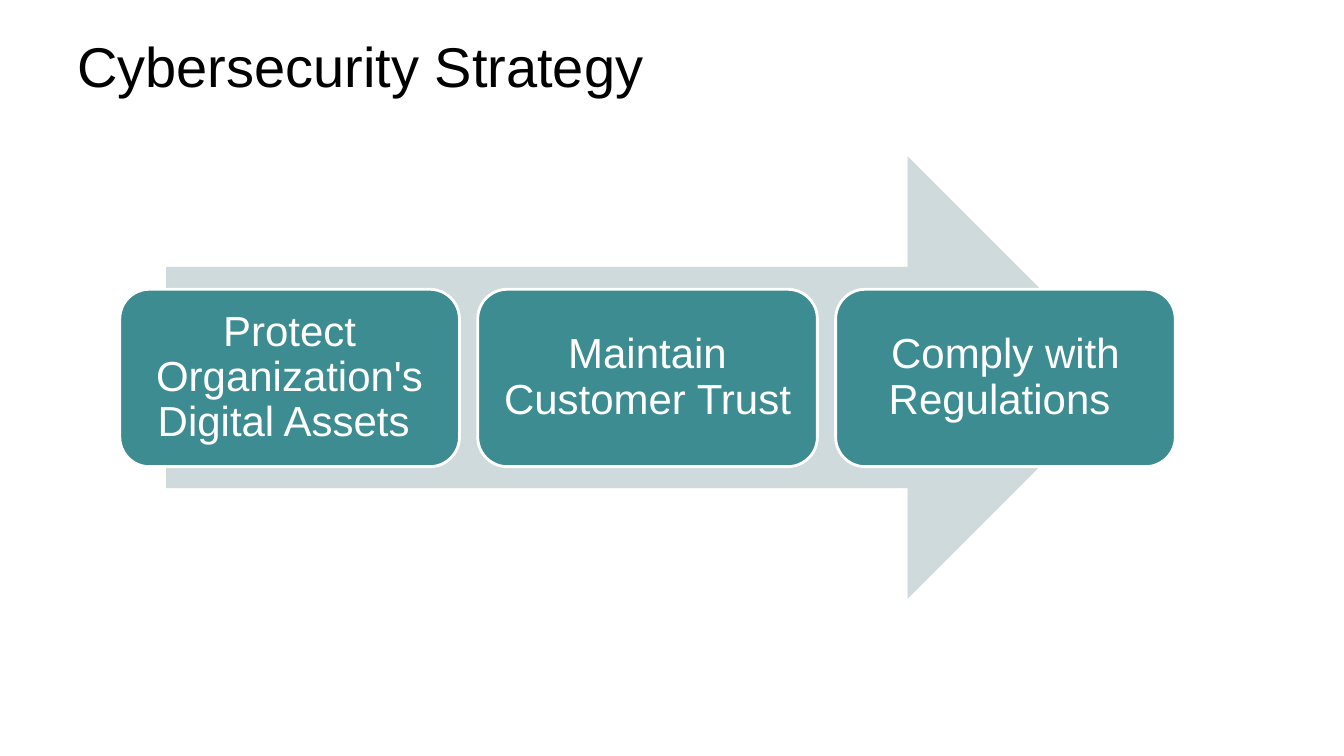
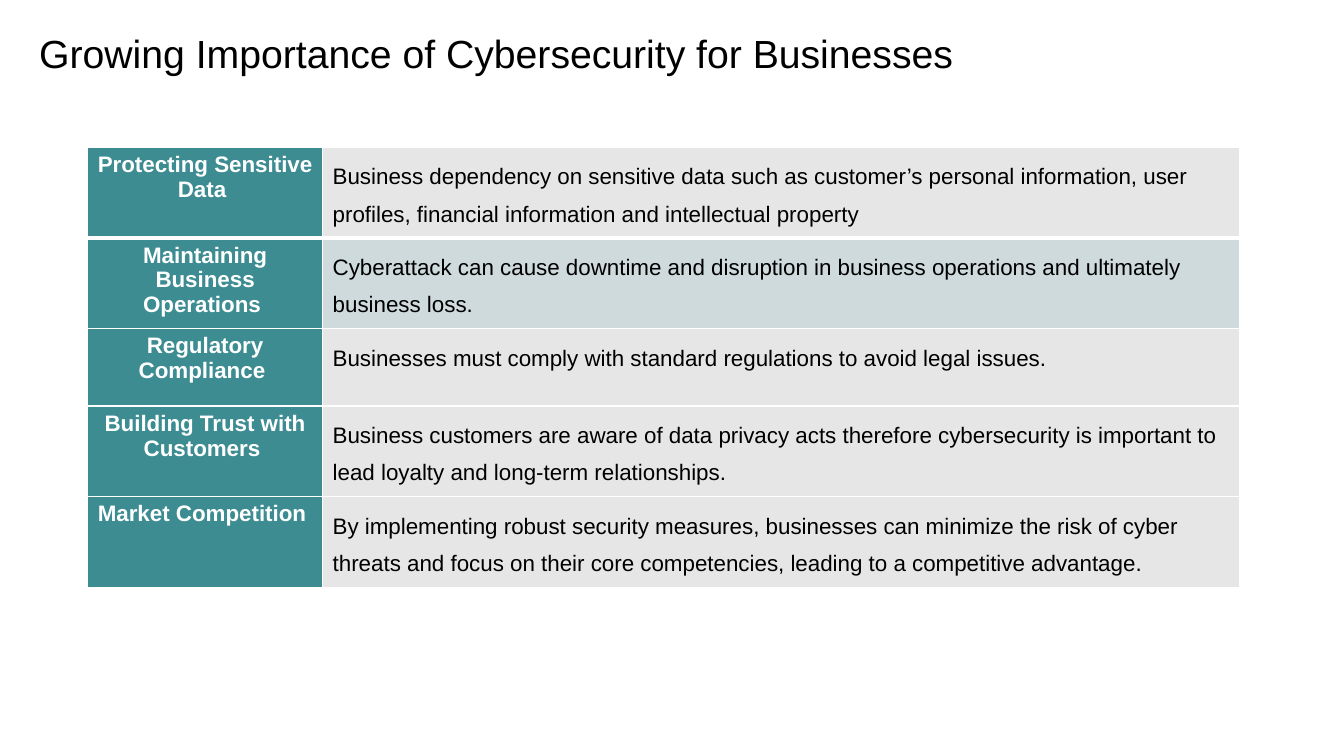
from dataclasses import dataclass

import pptx
import pptx.dml.color
import pptx.enum.shapes
import pptx.enum.text
import pptx.oxml
import pptx.oxml.ns
import pptx.presentation
import pptx.slide
import pptx.table
import pptx.util
from pptx.util import Cm

FONT = "Arial"
BLACK = "000000"
WHITE = "FFFFFF"
TEAL = "3C8C92"
PALE_TEAL = "CEDADC"
GREY = "E6E6E6"

SHAPE = pptx.enum.shapes.MSO_SHAPE
ALIGN = pptx.enum.text.PP_ALIGN
MIDDLE = pptx.enum.text.MSO_ANCHOR.MIDDLE

CARD_LEFT, CARD_STEP = 3.02, 9.02


@dataclass
class TableRow:
    heading: str
    detail: str
    height: float
    fill: str = GREY


GOALS = [
    "Protect Organization's Digital Assets ",
    "Maintain Customer Trust",
    "Comply with Regulations ",
]

ROWS = [
    TableRow(
        "Protecting Sensitive Data ",
        "Business dependency on sensitive data such as customer’s personal information, "
        "user profiles, financial information and intellectual property",
        2.18,
    ),
    TableRow(
        "Maintaining Business Operations ",
        "Cyberattack can cause downtime and disruption in business operations and "
        "ultimately business loss.",
        2.03,
        PALE_TEAL,
    ),
    TableRow(
        "Regulatory Compliance ",
        "Businesses must comply with standard regulations to avoid legal issues.",
        1.95,
    ),
    TableRow(
        "Building Trust with Customers ",
        "Business customers are aware of data privacy acts therefore cybersecurity is "
        "important to lead loyalty and long-term relationships.",
        1.95,
    ),
    TableRow(
        "Market Competition ",
        "By implementing robust security measures, businesses can minimize the risk of "
        "cyber threats and focus on their core competencies, leading to a competitive "
        "advantage.",
        1.95,
    ),
]


def rgb(value: str) -> pptx.dml.color.RGBColor:
    return pptx.dml.color.RGBColor.from_string(value)


def set_text(tf, text: str, size: float, color: str, align=ALIGN.LEFT,
             spacing: float = 1.0, bold: bool = False) -> None:
    tf.word_wrap = True
    p = tf.paragraphs[0]
    p.text = text
    p.alignment = align
    p.line_spacing = spacing
    p.font.name = FONT
    p.font.size = pptx.util.Pt(size)
    p.font.bold = bold
    p.font.color.rgb = rgb(color)


def add_slide(prs: pptx.presentation.Presentation, title: str, left: float,
              top: float, size: float) -> pptx.slide.Slide:
    s = prs.slides.add_slide(prs.slide_layouts[6])
    tf = s.shapes.add_textbox(Cm(left), Cm(top), Cm(30.48), Cm(2.21)).text_frame
    tf.vertical_anchor = MIDDLE
    set_text(tf, title, size, BLACK)
    return s


def add_filled(s: pptx.slide.Slide, kind, left: float, top: float,
               width: float, height: float, fill: str):
    sp = s.shapes.add_shape(kind, Cm(left), Cm(top), Cm(width), Cm(height))
    sp.shadow.inherit = False
    sp.fill.solid()
    sp.fill.fore_color.rgb = rgb(fill)
    sp.line.fill.background()
    return sp


def add_card(s: pptx.slide.Slide, left: float, text: str) -> None:
    sp = add_filled(s, SHAPE.ROUNDED_RECTANGLE, left, 7.29, 8.56, 4.47, TEAL)
    sp.line.color.rgb = rgb(WHITE)
    sp.line.width = pptx.util.Pt(2)
    tf = sp.text_frame
    tf.margin_left = tf.margin_right = tf.margin_top = tf.margin_bottom = Cm(0.3)
    tf.vertical_anchor = MIDDLE
    set_text(tf, text, 30, WHITE, ALIGN.CENTER, 0.9)


def style_cell(cell: pptx.table._Cell, fill: str, top: float, bottom: float) -> None:
    tc_pr = cell._tc.get_or_add_tcPr()
    for side, width in (("L", 1), ("R", 1), ("T", top), ("B", bottom)):
        tc_pr.append(pptx.oxml.parse_xml(
            f'<a:ln{side} {pptx.oxml.ns.nsdecls("a")} w="{pptx.util.Pt(width)}">'
            f'<a:solidFill><a:srgbClr val="{WHITE}"/></a:solidFill></a:ln{side}>'
        ))
    cell.fill.solid()
    cell.fill.fore_color.rgb = rgb(fill)


def add_reasons_table(s: pptx.slide.Slide, rows: list[TableRow]) -> None:
    widths = (5.92, 23.11)
    height = sum(row.height for row in rows)
    table = s.shapes.add_table(len(rows), len(widths), Cm(2.21), Cm(3.71),
                               Cm(sum(widths)), Cm(height)).table
    for column, width in zip(table.columns, widths):
        column.width = Cm(width)
    for i, row in enumerate(rows):
        table.rows[i].height = Cm(row.height)
        top, bottom = (3 if i == 1 else 1), (3 if i == 0 else 1)
        heading, detail = table.cell(i, 0), table.cell(i, 1)
        style_cell(heading, TEAL, top, bottom)
        style_cell(detail, row.fill, top, bottom)
        set_text(heading.text_frame, row.heading, 16, WHITE, ALIGN.CENTER, bold=True)
        set_text(detail.text_frame, row.detail, 16, BLACK, spacing=1.5)


def build_strategy(prs: pptx.presentation.Presentation) -> None:
    s = add_slide(prs, "Cybersecurity Strategy", 1.7, 0.53, 40)
    add_filled(s, SHAPE.RIGHT_ARROW, 4.19, 3.94, 24.26, 11.15, PALE_TEAL)
    for i, goal in enumerate(GOALS):
        add_card(s, CARD_LEFT + i * CARD_STEP, goal)


def build_importance(prs: pptx.presentation.Presentation) -> None:
    s = add_slide(prs, "Growing Importance of Cybersecurity for Businesses",
                  0.74, 0.23, 28)
    add_reasons_table(s, ROWS)


def main() -> None:
    prs = pptx.Presentation()
    prs.slide_width, prs.slide_height = Cm(33.87), Cm(19.05)
    build_strategy(prs)
    build_importance(prs)
    prs.save("out.pptx")


if __name__ == "__main__":
    main()
